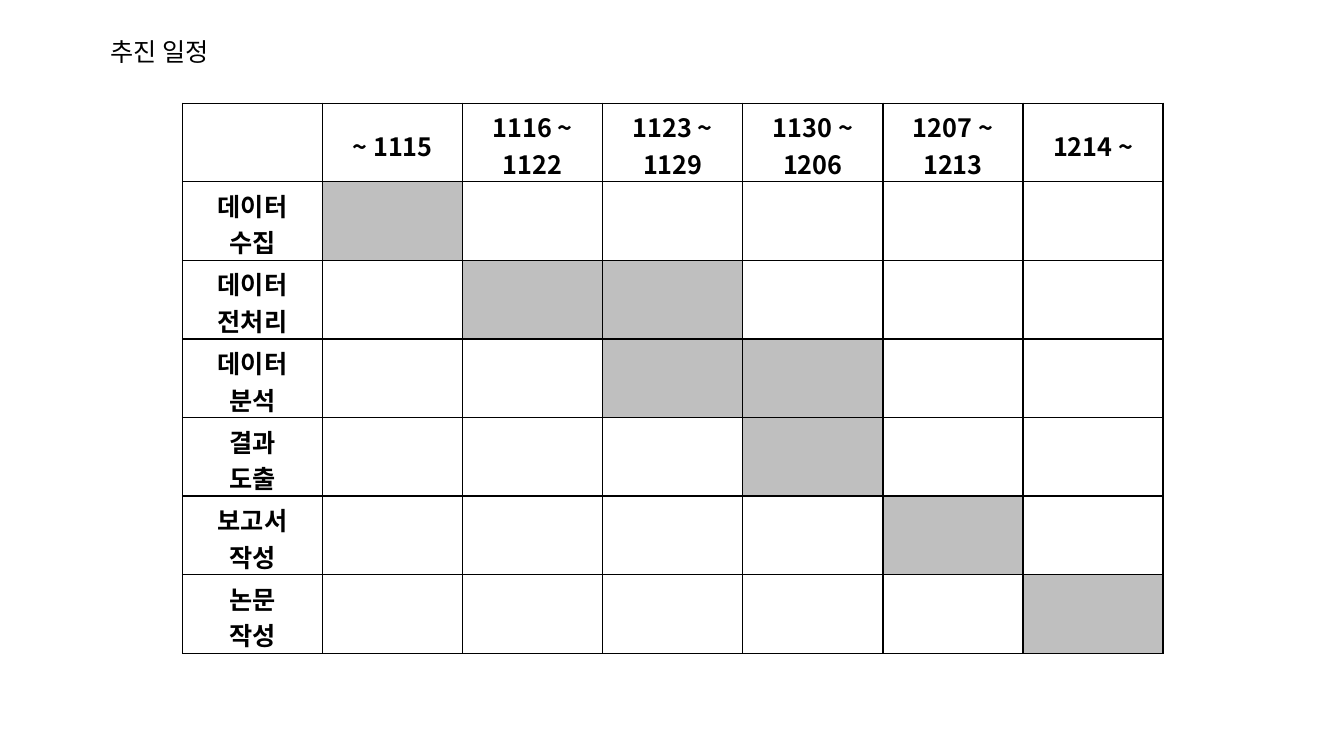
from dataclasses import dataclass

from lxml.etree import SubElement
from pptx import Presentation
from pptx.dml.color import RGBColor
from pptx.enum.text import MSO_ANCHOR, MSO_AUTO_SIZE, PP_ALIGN
from pptx.oxml import parse_xml
from pptx.oxml.ns import nsdecls, qn
from pptx.slide import Slide
from pptx.table import _Cell as Cell
from pptx.text.text import _Paragraph as Paragraph
from pptx.util import Cm, Pt

BLACK = RGBColor(0x00, 0x00, 0x00)
WHITE = RGBColor(0xFF, 0xFF, 0xFF)
GREY = RGBColor(0xBF, 0xBF, 0xBF)

FONT = "Noto Sans CJK KR"
TITLE_FONT = {"name": FONT, "size": Pt(18), "bold": False}
CELL_FONT = {"name": FONT, "size": Pt(18), "bold": True}
TITLE_PLACE = {"left": Cm(0), "top": Cm(0), "width": Cm(33.87), "height": Cm(2.57)}
TITLE_FRAME = {
    "auto_size": MSO_AUTO_SIZE.NONE,
    "word_wrap": True,
    "vertical_anchor": MSO_ANCHOR.MIDDLE,
    "margin_left": Cm(2.79),
}
CELL_FORMAT = {
    "vertical_anchor": MSO_ANCHOR.MIDDLE,
    "margin_top": Cm(0.13),
    "margin_bottom": Cm(0),
}
COLUMN_WIDTH = Cm(3.53)
ROW_HEIGHT = Cm(1.98)


@dataclass(frozen=True)
class Task:
    """A row of the schedule; weeks are counted from 1."""

    lines: tuple[str, ...]
    first_week: int
    last_week: int


WEEKS = ("~ 1115", "1116 ~ 1122", "1123 ~ 1129", "1130 ~ 1206", "1207 ~ 1213", "1214 ~")
TASKS = (
    Task(("데이터", "수집"), 1, 1),
    Task(("데이터", "전처리"), 2, 3),
    Task(("데이터", "분석"), 3, 4),
    Task(("결과", "도출"), 4, 4),
    Task(("보고서", "작성"), 5, 5),
    Task(("논문", "작성"), 6, 6),
)


def apply_format(target: object, values: dict) -> None:
    for name, value in values.items():
        setattr(target, name, value)


def write(para: Paragraph, text: str, font: dict, align: PP_ALIGN) -> None:
    para.alignment = align
    span = para.add_run()
    span.text = text
    apply_format(span.font, font)
    span.font.color.rgb = BLACK
    SubElement(span.font._element, qn("a:ea"), typeface=FONT)


def add_borders(cell: Cell) -> None:
    properties = cell._tc.get_or_add_tcPr()
    for index, side in enumerate(("lnL", "lnR", "lnT", "lnB")):
        line = parse_xml(
            f'<a:{side} {nsdecls("a")} w="{Pt(1)}"><a:solidFill>'
            f'<a:srgbClr val="{BLACK}"/></a:solidFill></a:{side}>'
        )
        properties.insert(index, line)


def fill_cell(cell: Cell, lines: tuple[str, ...], color: RGBColor) -> None:
    apply_format(cell, CELL_FORMAT)
    cell.fill.solid()
    cell.fill.fore_color.rgb = color
    add_borders(cell)
    frame = cell.text_frame
    for index, text in enumerate(lines):
        para = frame.add_paragraph() if index else frame.paragraphs[0]
        write(para, text, CELL_FONT, PP_ALIGN.CENTER)


def add_title(page: Slide, text: str) -> None:
    title = page.shapes.title
    apply_format(title, TITLE_PLACE)
    apply_format(title.text_frame, TITLE_FRAME)
    write(title.text_frame.paragraphs[0], text, TITLE_FONT, PP_ALIGN.LEFT)


def add_schedule(page: Slide) -> None:
    rows, columns = len(TASKS) + 1, len(WEEKS) + 1
    schedule = page.shapes.add_table(
        rows, columns, Cm(4.6), Cm(2.6), COLUMN_WIDTH * columns, ROW_HEIGHT * rows
    ).table
    apply_format(schedule, {"first_row": False, "horz_banding": False})
    for column in schedule.columns:
        column.width = COLUMN_WIDTH
    for row in schedule.rows:
        row.height = ROW_HEIGHT

    fill_cell(schedule.cell(0, 0), (), WHITE)
    for week, label in enumerate(WEEKS, 1):
        fill_cell(schedule.cell(0, week), (label,), WHITE)
    for row, task in enumerate(TASKS, 1):
        fill_cell(schedule.cell(row, 0), task.lines, WHITE)
        for week in range(1, columns):
            active = task.first_week <= week <= task.last_week
            fill_cell(schedule.cell(row, week), (), GREY if active else WHITE)


def main() -> None:
    deck = Presentation()
    apply_format(deck, {"slide_width": Cm(33.87), "slide_height": Cm(19.05)})
    page = deck.slides.add_slide(deck.slide_layouts[5])
    add_title(page, "추진 일정")
    add_schedule(page)
    deck.save("out.pptx")


if __name__ == "__main__":
    main()
